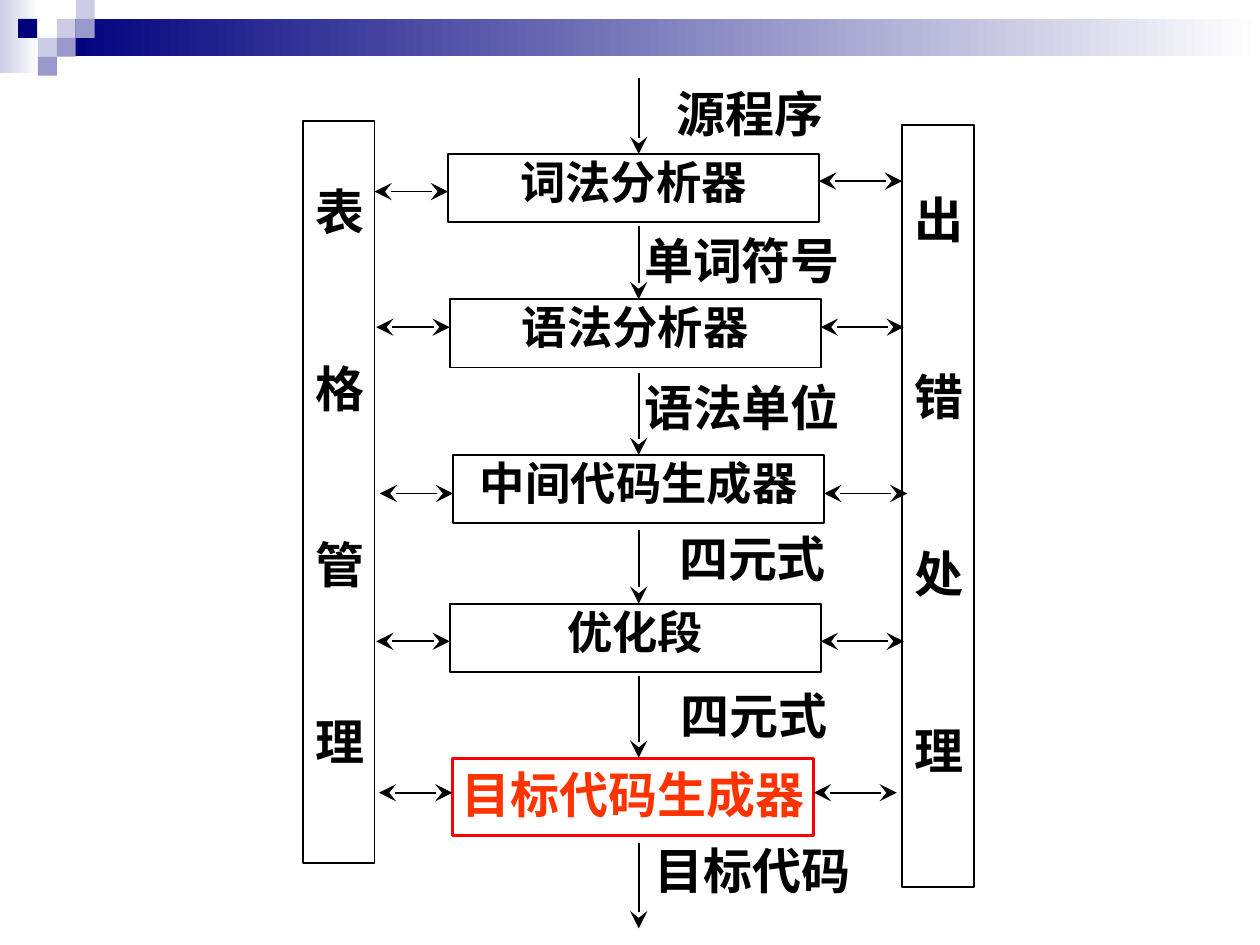
"""Build a slide showing the stages of a compiler."""
from lxml import etree
from pptx import Presentation
from pptx.dml.color import RGBColor
from pptx.enum import shapes, text
from pptx.oxml.ns import qn
from pptx.util import Pt

TIMES, NOTO = "Times New Roman", "Noto Sans CJK SC"
BLACK, RED, ORANGE = "000000", "FF0000", "FF3300"
NAVY, LILAC, VIOLET, WHITE = "00007D", "CCCCE6", "9999CC", "FFFFFF"

BANDS = [((0, 0, 22, 42), LILAC), ((32.5, 10.8, 687.5, 21.4), NAVY)]
TILE = 10.8
TILES = [
    (32.5, 10.8, LILAC), (43.3, 0, LILAC), (43.3, 10.8, VIOLET),
    (21.7, 21.6, LILAC), (10.4, 10.8, NAVY), (32.5, 21.6, VIOLET),
    (21.7, 32.4, VIOLET),
]
PLAIN = dict(size=25.9, spacing=0.9)
TARGET = dict(size=28, font=NOTO, color=ORANGE, margins=(1.5, 3.6))
STAGES = [
    ("词法分析器", (256, 88, 212, 39), BLACK, 1, PLAIN),
    ("语法分析器", (257, 171, 212, 39), BLACK, 1, PLAIN),
    ("中间代码生成器", (259, 260, 212, 39), BLACK, 1, dict(PLAIN, font=NOTO)),
    ("优化段", (257, 345, 212, 39), BLACK, 1, dict(PLAIN, font=NOTO)),
    ("目标代码生成器", (258.5, 433.5, 206.5, 44), RED, 1.75, TARGET),
]
LINKS = [(109.5, 103.5), (187, 187), (282, 282), (366.5, 366.5), (453, 453)]
LEFT_GAP, RIGHT_GAP = 42, 47.5
AXIS = 365
FLOWS = [
    ("源程序", 428.5, 64.5, 44.5, 88), ("单词符号", 424, 148.5, 129, 171),
    ("语法单位", 424, 232.5, 213, 260), ("四元式", 430, 319, 303, 345),
    ("四元式", 431, 408.5, 386.5, 433), ("目标代码", 430, 497, 481.5, 530.5),
]
LABEL_W, LABEL_H = 126, 27
COLUMNS = [("表格管理", (173, 69, 41, 424), 34.5),
           ("出错处理", (515.5, 71.5, 41, 435.5), 36.8)]
COLUMN_GAP = 67.5


def rgb(value):
    return RGBColor.from_string(value)


def add_text(sp, lines, size=28, font=TIMES, color=BLACK, spacing=None, gap=0,
             margins=(7.2, 3.6), top=None, wrap=True,
             anchor=text.MSO_ANCHOR.TOP):
    tf = sp.text_frame
    tf.word_wrap, tf.vertical_anchor = wrap, anchor
    tf.margin_left = tf.margin_right = Pt(margins[0])
    tf.margin_top = Pt(margins[1] if top is None else top)
    tf.margin_bottom = Pt(margins[1])
    for i, line in enumerate(lines):
        p = tf.add_paragraph() if i else tf.paragraphs[0]
        p.alignment = text.PP_ALIGN.CENTER
        if spacing:
            p.line_spacing = spacing
        if i and gap:
            p.space_before = Pt(gap)
        r = p.add_run()
        r.text = line
        r.font.size, r.font.bold, r.font.name = Pt(size), True, font
        r.font.color.rgb = rgb(color)
        ea = etree.SubElement(r.font._element, qn("a:ea"))
        ea.set("typeface", NOTO)


def add_rect(s, box, fill=None, fade=False, line=None, width=1):
    sp = s.shapes.add_shape(shapes.MSO_SHAPE.RECTANGLE, *map(Pt, box))
    sp.shadow.inherit = False
    if fade:
        sp.fill.gradient()
        sp.fill.gradient_angle = 0
        for stop, value in zip(sp.fill.gradient_stops, (fill, WHITE)):
            stop.color.rgb = rgb(value)
    elif fill:
        sp.fill.solid()
        sp.fill.fore_color.rgb = rgb(fill)
    else:
        sp.fill.background()
    if line:
        sp.line.color.rgb, sp.line.width = rgb(line), Pt(width)
    else:
        sp.line.fill.background()
    return sp


def add_arrow(s, start, end, ends=("tailEnd",)):
    c = s.shapes.add_connector(shapes.MSO_CONNECTOR.STRAIGHT,
                               *map(Pt, start + end))
    c.line.color.rgb, c.line.width = rgb(BLACK), Pt(1)
    ln = c.line._get_or_add_ln()
    for name in ends:
        head = etree.SubElement(ln, qn(f"a:{name}"))
        for key, value in (("type", "stealth"), ("w", "lg"), ("len", "lg")):
            head.set(key, value)
    etree.SubElement(c._element.spPr, qn("a:effectLst"))
    return c


def main():
    prs = Presentation()
    prs.slide_width, prs.slide_height = Pt(720), Pt(540)
    s = prs.slides.add_slide(prs.slide_layouts[6])

    for box, color in BANDS:
        add_rect(s, box, color, fade=True)
    for x, y, color in TILES:
        add_rect(s, (x, y, TILE, TILE), color)

    for chars, box, top in COLUMNS:
        add_text(add_rect(s, box, line=BLACK), chars, gap=COLUMN_GAP, top=top)

    boxes = []
    for (name, box, color, width, style), (left_y, right_y) in zip(STAGES, LINKS):
        sp = add_rect(s, box, line=color, width=width)
        add_text(sp, [name], **style)
        boxes.append(sp)
        left, right = box[0], box[0] + box[2]
        both = ("headEnd", "tailEnd")
        add_arrow(s, (left, left_y), (left - LEFT_GAP, left_y), both)
        add_arrow(s, (right, right_y), (right + RIGHT_GAP, right_y), both)

    for i, (name, x, y, start, end) in enumerate(FLOWS):
        label = s.shapes.add_textbox(Pt(x - LABEL_W / 2), Pt(y - LABEL_H / 2),
                                     Pt(LABEL_W), Pt(LABEL_H))
        add_text(label, [name], margins=(0, 0), wrap=False,
                 anchor=text.MSO_ANCHOR.MIDDLE)
        c = add_arrow(s, (AXIS, start), (AXIS, end))
        if i < len(boxes) and boxes[i].left + boxes[i].width // 2 == Pt(AXIS):
            c.end_connect(boxes[i], 0)

    prs.save("out.pptx")


if __name__ == "__main__":
    main()
